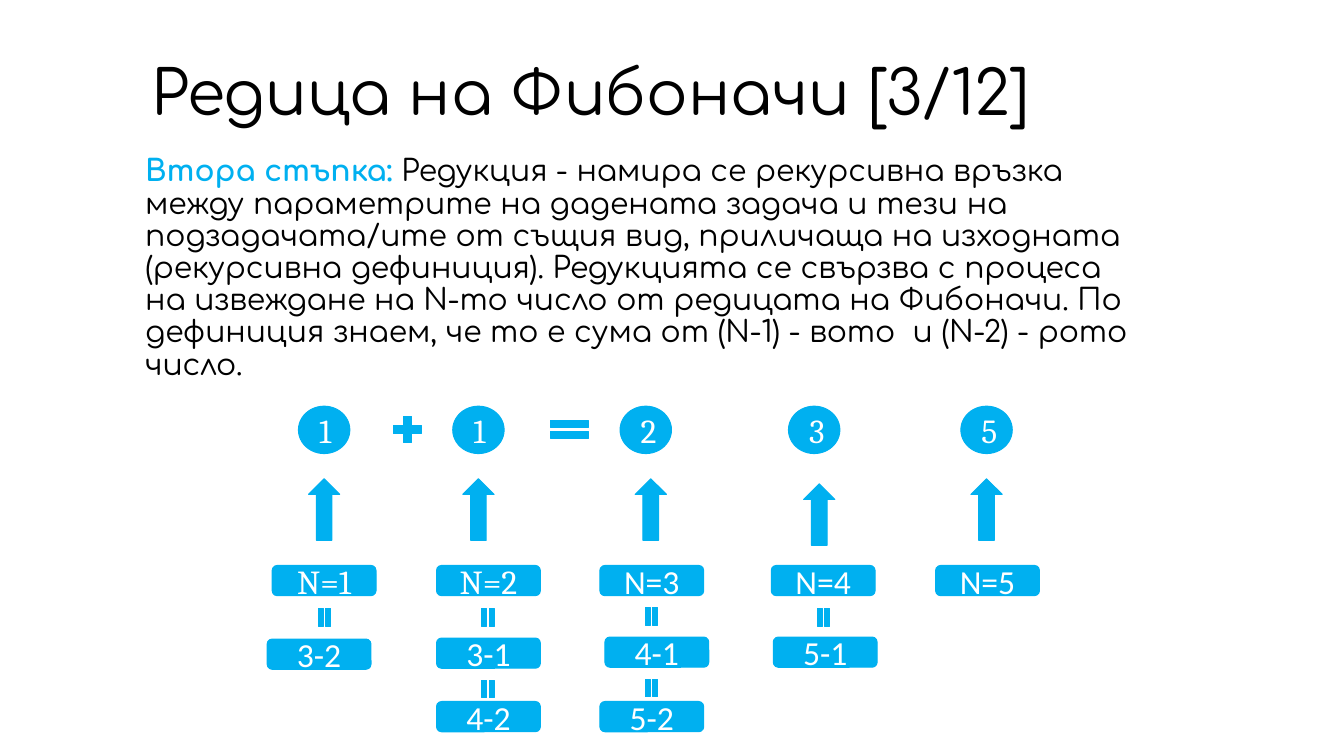
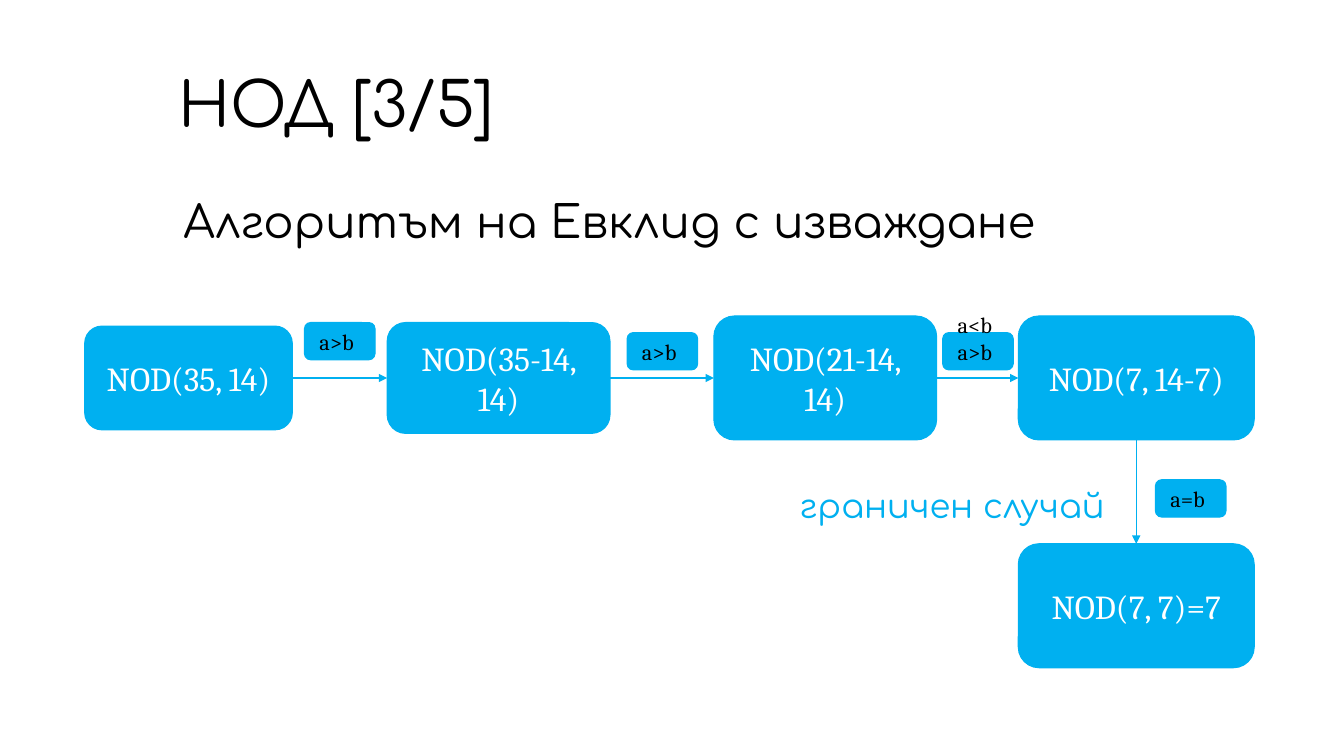
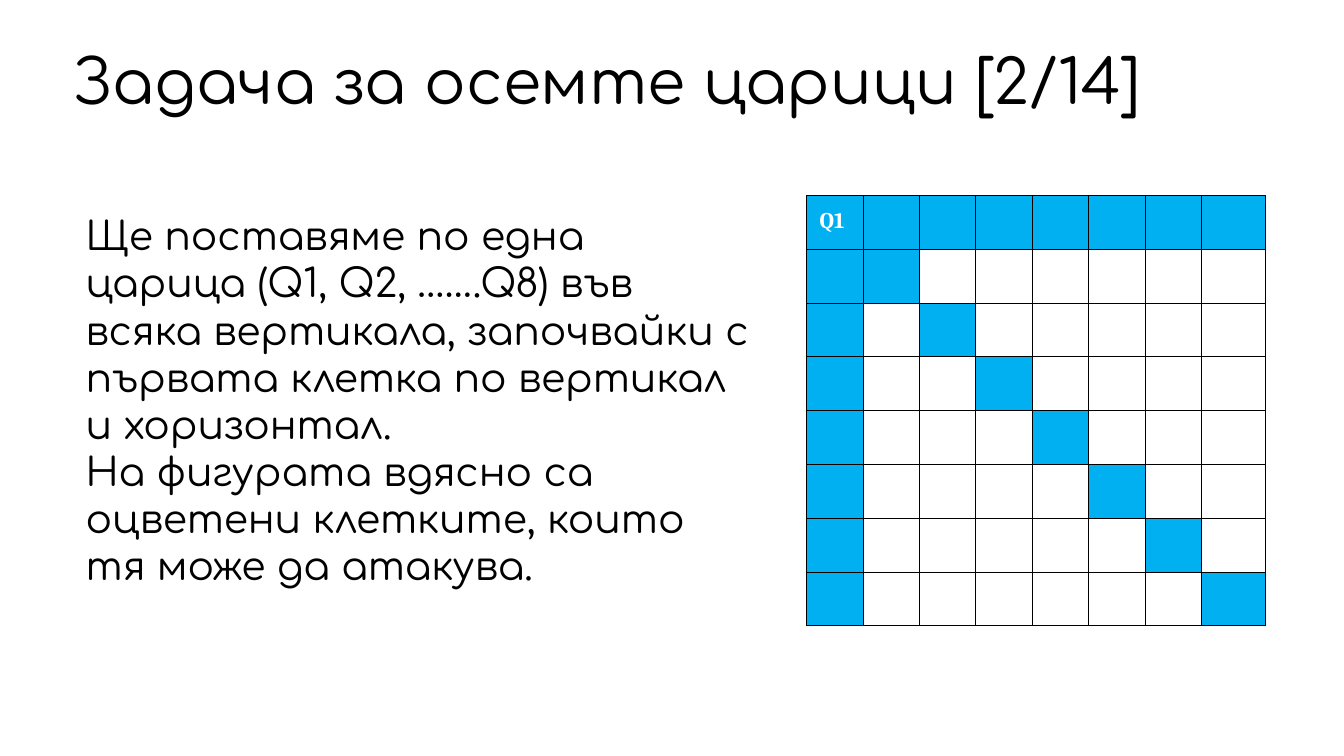
from dataclasses import dataclass

from lxml.etree import SubElement
from pptx import Presentation
from pptx.dml.color import RGBColor
from pptx.enum.shapes import MSO_CONNECTOR, MSO_SHAPE as SHAPE
from pptx.enum.text import MSO_ANCHOR as ANCHOR, MSO_AUTO_SIZE, PP_ALIGN as ALIGN
from pptx.oxml.ns import qn
from pptx.util import Inches, Pt


@dataclass(frozen=True)
class Theme:
    blue: RGBColor = RGBColor(0x00, 0xB0, 0xF0)
    black: RGBColor = RGBColor(0, 0, 0)
    white: RGBColor = RGBColor(0xFF, 0xFF, 0xFF)
    display: str = "Comfortaa"
    serif: str = "Cambria"
    sans: str = "Calibri"
    title: float = 44
    subtitle: float = 32
    body: float = 28
    block: float = 24
    definition: float = 21.3
    label: float = 16
    line: float = 0.75


T = Theme()


def add_block(s, preset, at, text="", font=T.serif, size=T.block, color=T.white, align=ALIGN.CENTER):
    sp = s.shapes.add_shape(preset, *map(Inches, at))
    sp.shadow.inherit = False
    sp.fill.solid()
    sp.fill.fore_color.rgb = T.blue
    sp.line.color.rgb = T.blue
    sp.line.width = Pt(T.line)
    if text:
        tf = sp.text_frame
        tf.margin_left = tf.margin_right = tf.margin_top = tf.margin_bottom = Inches(0.13)
        tf.vertical_anchor = ANCHOR.MIDDLE
        tf.text = text
        for p in tf.paragraphs:
            p.alignment = align
            p.font.name, p.font.size = font, Pt(size)
            p.font.color.rgb = color
    return sp


def add_text(s, at, text, size, color=T.black, inset=(0.1, 0.05), spacing=None, align=ALIGN.LEFT):
    tf = s.shapes.add_textbox(*map(Inches, at)).text_frame
    tf.word_wrap = True
    tf.margin_left = tf.margin_right = Inches(inset[0])
    tf.margin_top = tf.margin_bottom = Inches(inset[1])
    tf.text = text
    for p in tf.paragraphs:
        p.alignment = align
        p.font.name, p.font.size = T.display, Pt(size)
        p.font.color.rgb = color
        if spacing:
            p.line_spacing = spacing
    return tf


prs = Presentation()
prs.slide_width, prs.slide_height = Inches(13.33), Inches(7.5)

slides = []
for text, left, top, width in [
    ("Редица на Фибоначи [3/12]", 1.38, 0.53, 10.49),
    ("НОД [3/5]", 1.65, 0.65, 9.56),
    ("Задача за осемте царици [2/14]", 0.61, 0.42, 12.12),
]:
    s = prs.slides.add_slide(prs.slide_layouts[5])
    title = s.shapes.title
    title.left, title.top = Inches(left), Inches(top)
    title.width, title.height = Inches(width), Inches(0.84)
    tf = title.text_frame
    tf.auto_size = MSO_AUTO_SIZE.NONE
    tf.vertical_anchor = ANCHOR.MIDDLE
    tf.margin_left = tf.margin_right = Inches(0.12)
    tf.margin_top = tf.margin_bottom = Inches(0.04)
    tf.text = text
    p = tf.paragraphs[0]
    p.alignment = ALIGN.LEFT
    p.line_spacing = 0.9
    p.font.name, p.font.size = T.display, Pt(T.title)
    p.font.color.rgb = T.black
    slides.append(s)

fibonacci, gcd, queens = slides

tf = add_text(fibonacci, (1.32, 1.51, 10.18, 2.39), "Втора стъпка: ", T.definition,
              inset=(0.12, 0.04), spacing=0.9)
p = tf.paragraphs[0]
p.runs[0].font.bold = True
p.runs[0].font.color.rgb = T.blue
r = p.add_run()
r.text = (
    "Редукция - намира се рекурсивна връзка между параметрите на дадената задача "
    "и тези на подзадачата/ите от същия вид, приличаща на изходната (рекурсивна "
    "дефиниция). Редукцията се свързва с процеса на извеждане на N-то число от "
    "редицата на Фибоначи. По дефиниция знаем, че то е сума от (N-1) - вото  и "
    "(N-2) - рото число."
)

for number, left, arrow_left, arrow_top in [
    ("1", 2.96, 3.06, 4.75),
    ("1", 4.49, 4.59, 4.75),
    ("2", 6.15, 6.3, 4.75),
    ("3", 7.82, 7.97, 4.8),
    ("5", 9.53, 9.63, 4.75),
]:
    add_block(fibonacci, SHAPE.OVAL, (left, 4.03, 0.51, 0.47), number, align=ALIGN.LEFT)
    add_block(fibonacci, SHAPE.UP_ARROW, (arrow_left, arrow_top, 0.31, 0.61))

add_block(fibonacci, SHAPE.MATH_PLUS, (3.85, 4.08, 0.38, 0.36))
add_block(fibonacci, SHAPE.MATH_EQUAL, (5.39, 4.11, 0.51, 0.3))

for text, left, top, font in [
    ("N=1", 2.7, 5.61, T.serif),
    ("N=2", 4.33, 5.61, T.serif),
    ("N=3", 5.95, 5.61, T.sans),
    ("N=4", 7.65, 5.61, T.sans),
    ("N=5", 9.28, 5.61, T.sans),
    ("3-2", 2.65, 6.34, T.sans),
    ("3-1", 4.33, 6.33, T.sans),
    ("4-1", 6, 6.32, T.sans),
    ("5-1", 7.67, 6.32, T.sans),
    ("4-2", 4.33, 6.96, T.sans),
    ("5-2", 5.95, 6.96, T.sans),
]:
    add_block(fibonacci, SHAPE.ROUNDED_RECTANGLE, (left, top, 1.03, 0.3), text, font)

for left, top in [(3.1, 6.02), (4.72, 6.02), (6.34, 6.01), (8.05, 6.02), (4.72, 6.73), (6.34, 6.72)]:
    add_block(fibonacci, SHAPE.MATH_EQUAL, (left, top, 0.24, 0.21)).rotation = 270

steps = []
for text, left, middle, width, height in [
    ("NOD(35, 14)", 0.84, 3.75, 2.06, 1.03),
    ("NOD(35-14, 14)", 3.84, 3.75, 2.21, 1.1),
    ("NOD(21-14, 14)", 7.08, 3.75, 2.21, 1.23),
    ("NOD(7, 14-7)", 10.1, 3.75, 2.34, 1.23),
    ("NOD(7, 7)=7", 10.1, 6.01, 2.34, 1.23),
]:
    at = (left, middle - height / 2, width, height)
    steps.append(add_block(gcd, SHAPE.ROUNDED_RECTANGLE, at, text))

for i, (start, end) in enumerate(zip(steps, steps[1:])):
    arrow = gcd.shapes.add_connector(MSO_CONNECTOR.STRAIGHT, 0, 0, 0, 0)
    down = i == len(steps) - 2
    arrow.begin_connect(start, 2 if down else 3)
    arrow.end_connect(end, 0 if down else 1)
    arrow.line.color.rgb = T.blue
    arrow.line.width = Pt(T.line)
    spPr = arrow.element.spPr
    SubElement(spPr.find(qn("a:ln")), qn("a:tailEnd"), type="triangle")
    SubElement(spPr, qn("a:effectLst"))

for text, left, top in [
    ("a>b", 3.02, 3.2),
    ("a>b", 6.22, 3.3),
    ("a<b\na>b", 9.35, 3.3),
    ("a=b", 11.46, 4.76),
]:
    sp = add_block(gcd, SHAPE.ROUNDED_RECTANGLE, (left, top, 0.7, 0.37), text,
                   size=T.label, color=T.black, align=ALIGN.LEFT)
    if "\n" in text:
        sp.text_frame.margin_top, sp.text_frame.margin_bottom = 0, Inches(0.27)

add_text(gcd, (7.77, 4.76, 3.35, 0.4), "граничен случай", T.block, T.blue, align=ALIGN.CENTER)
add_text(gcd, (1.72, 1.79, 9.65, 0.68), "Алгоритъм на Евклид с изваждане", T.subtitle, spacing=1.15)

add_text(
    queens, (0.73, 2.06, 6.83, 4.15),
    "Ще поставяме по една царица (Q1, Q2, …….Q8) във всяка вертикала, "
    "започвайки с първата клетка по вертикал и хоризонтал.\n"
    "На фигурата вдясно са оцветени клетките, които тя може да атакува.",
    T.body, inset=(0.12, 0.04),
)

N = 8
board = queens.shapes.add_table(N, N, *map(Inches, (8, 1.94, 4.54, 4.27))).table
for i in range(N):
    board.columns[i].width = Inches(0.63 if i == N - 1 else 0.56)
    board.rows[i].height = Inches(4.27 / N)

for row in range(N):
    for col in range(N):
        cell = board.cell(row, col)
        tcPr = cell._tc.get_or_add_tcPr()
        for side in ("lnL", "lnR", "lnT", "lnB"):
            ln = SubElement(tcPr, qn(f"a:{side}"), w=str(Pt(T.line)))
            SubElement(SubElement(ln, qn("a:solidFill")), qn("a:srgbClr"), val=str(T.black))
        attacked = row == 0 or col == 0 or row == col
        cell.fill.solid()
        cell.fill.fore_color.rgb = T.blue if attacked else T.white

queen = board.cell(0, 0)
queen.margin_left = queen.margin_right = queen.margin_top = queen.margin_bottom = Inches(0.13)
queen.text = "Q1"
p = queen.text_frame.paragraphs[0]
p.font.name, p.font.size, p.font.bold = T.serif, Pt(T.label), True
p.font.color.rgb = T.white

prs.save("out.pptx")
